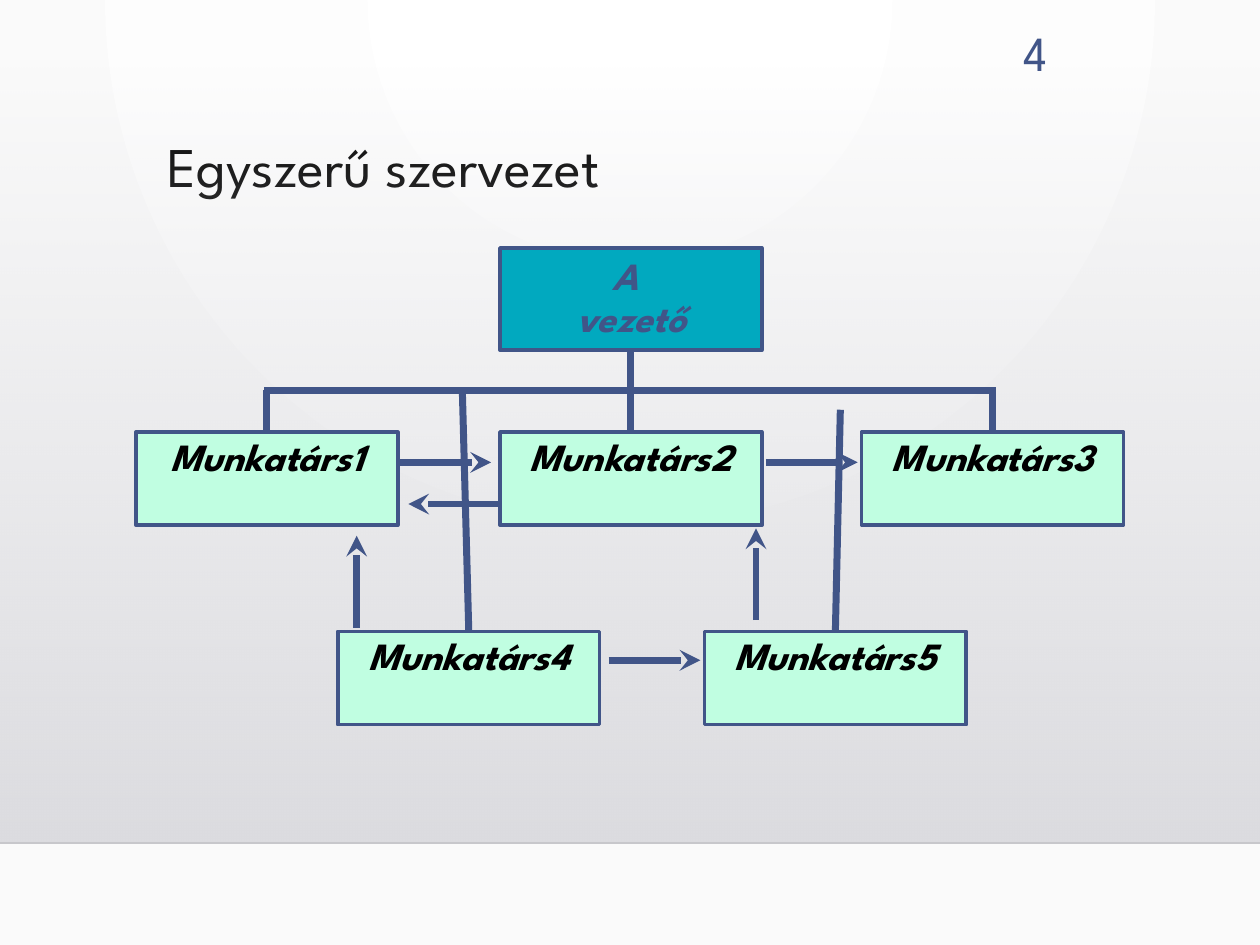
from pptx import Presentation, oxml
from pptx.dml.color import RGBColor
from pptx.enum import shapes as s, text as t
from pptx.oxml.ns import qn
from pptx.util import Cm, Pt

FONT = "League Spartan"
NAVY = RGBColor(0x41, 0x55, 0x88)
TEAL = RGBColor(0x01, 0xA9, 0xBF)
MINT = RGBColor(0xC0, 0xFE, 0xE1)
BLACK = RGBColor(0, 0, 0)
GREY = RGBColor(0xC7, 0xC7, 0xCB)
NS = 'xmlns:a="http://schemas.openxmlformats.org/drawingml/2006/main"'

LABEL = {"size": Pt(22), "bold": True, "italic": True, "name": FONT}
WIDE, HIGH = 5.28, 1.88      # staff box
ROW1, ROW2 = 8.71, 12.73     # tops of the staff rows
BUS = 7.87                   # height of the shared line
REACH = 1.85                 # length of each arrow

STAFF = {1: (2.74, ROW1), 2: (10.08, ROW1), 3: (17.37, ROW1),
         4: (6.81, ROW2), 5: (14.2, ROW2)}
DROPS = {1: (5.38, BUS), 3: (20.01, BUS), 4: (9.32, BUS), 5: (16.94, 8.26)}
# Start of each arrow and its direction
ARROWS = [(8.05, 9.32, 1, 0), (15.44, 9.32, 1, 0), (10.08, 10.16, -1, 0),
          (12.27, 13.31, 1, 0), (7.19, 12.65, 0, -1), (15.24, 12.5, 0, -1)]


def style(item, form):
    for key, val in form.items():
        setattr(item, key, val)


def write(frame, lines, form, color, align, space=0.9):
    """Fill a text frame with one paragraph per line."""
    frame.word_wrap = True
    for i, line in enumerate(lines):
        par = frame.paragraphs[0] if i == 0 else frame.add_paragraph()
        style(par, {"alignment": align, "line_spacing": space})
        run = par.add_run()
        run.text = line
        style(run.font, form)
        run.font.color.rgb = color


def shade(parent, stops, kind):
    """Swap the solid fill for a gradient of (position, colour, alpha)."""
    marks = "".join(
        f'<a:gs pos="{pos * 1000}"><a:srgbClr val="{color}">'
        f'<a:alpha val="{alpha * 1000}"/></a:srgbClr></a:gs>'
        for pos, color, alpha in stops)
    grad = oxml.parse_xml(
        f'<a:gradFill {NS} rotWithShape="1"><a:gsLst>{marks}</a:gsLst>{kind}</a:gradFill>')
    parent.replace(parent.find(qn("a:solidFill")), grad)


def add_rect(slide, x, y, w, h, fill):
    rect = slide.shapes.add_shape(s.MSO_SHAPE.RECTANGLE, Cm(x), Cm(y), Cm(w), Cm(h))
    rect.shadow.inherit = False
    rect.fill.solid()
    rect.fill.fore_color.rgb = fill
    return rect


def add_box(slide, x, y, h, lines, fill, color, anchor):
    box = add_rect(slide, x, y, WIDE, h, fill)
    box.line.color.rgb = NAVY
    box.line.width = Pt(2)
    box.text_frame.vertical_anchor = anchor
    write(box.text_frame, lines, LABEL, color, t.PP_ALIGN.CENTER)
    return box


def add_line(slide, x1, y1, x2, y2, color=NAVY, width=4, arrow=False):
    line = slide.shapes.add_connector(
        s.MSO_CONNECTOR.STRAIGHT, Cm(x1), Cm(y1), Cm(x2), Cm(y2))
    line.line.color.rgb = color
    line.line.width = Pt(width)
    if arrow:
        line.line._get_or_add_ln().append(
            oxml.parse_xml(f'<a:tailEnd {NS} type="stealth"/>'))
    line._element.spPr.append(oxml.parse_xml(f"<a:effectLst {NS}/>"))
    return line


def add_backdrop(slide):
    slide.background.fill.solid()
    shade(slide._element.cSld.find(qn("p:bg")).find(qn("p:bgPr")),
          [(0, "FFFFFF", 100), (100, "FAFAFA", 100)],
          '<a:path path="circle">'
          '<a:fillToRect l="43000" t="0" r="43000" b="100000"/></a:path>')
    veil = add_rect(slide, 0, 1.3, 25.4, 15.7, GREY)
    veil.line.fill.background()
    shade(veil._element.spPr, [(0, "DCDCE0", 0), (100, "DADADE", 100)],
          '<a:lin ang="5400000" scaled="0"/>')
    add_line(slide, 0, 17, 25.4, 17, GREY, 1)


def add_heads(slide):
    title = slide.shapes.title
    style(title, {"left": Cm(3.12), "top": Cm(2.67),
                  "width": Cm(18.26), "height": Cm(2.92)})
    title.text_frame.vertical_anchor = t.MSO_ANCHOR.TOP
    write(title.text_frame, ["Egyszerű szervezet"],
          {"size": Pt(32), "name": FONT}, BLACK, t.PP_ALIGN.LEFT)
    page = slide.shapes.add_textbox(Cm(19.15), Cm(0.36), Cm(2.21), Cm(1.4))
    page.text_frame.vertical_anchor = t.MSO_ANCHOR.BOTTOM
    write(page.text_frame, ["4"], {"size": Pt(28), "name": FONT},
          NAVY, t.PP_ALIGN.RIGHT, 1.0)


def add_chart(slide):
    # Boxes
    boss = add_box(slide, 10.08, 5, 2.06, ["A ", "vezető"], TEAL, NAVY,
                   t.MSO_ANCHOR.MIDDLE)
    team = {n: add_box(slide, x, y, HIGH, [f"Munkatárs{n}"], MINT, BLACK,
                       t.MSO_ANCHOR.TOP) for n, (x, y) in STAFF.items()}

    # Lines of command
    add_line(slide, 5.33, BUS, 20.07, BUS)
    stem = add_line(slide, 12.72, 7.06, 12.72, ROW1)
    stem.begin_connect(boss, 2)
    stem.end_connect(team[2], 0)
    for n, (x, y) in DROPS.items():
        add_line(slide, x, y, x, STAFF[n][1]).end_connect(team[n], 0)

    # Links between colleagues
    for x, y, dx, dy in ARROWS:
        add_line(slide, x, y, x + dx * REACH, y + dy * REACH, arrow=True)


def main():
    deck = Presentation()
    deck.slide_width, deck.slide_height = Cm(25.4), Cm(19.05)
    slide = deck.slides.add_slide(deck.slide_layouts[5])
    add_backdrop(slide)
    add_heads(slide)
    add_chart(slide)
    deck.save("out.pptx")


if __name__ == "__main__":
    main()
